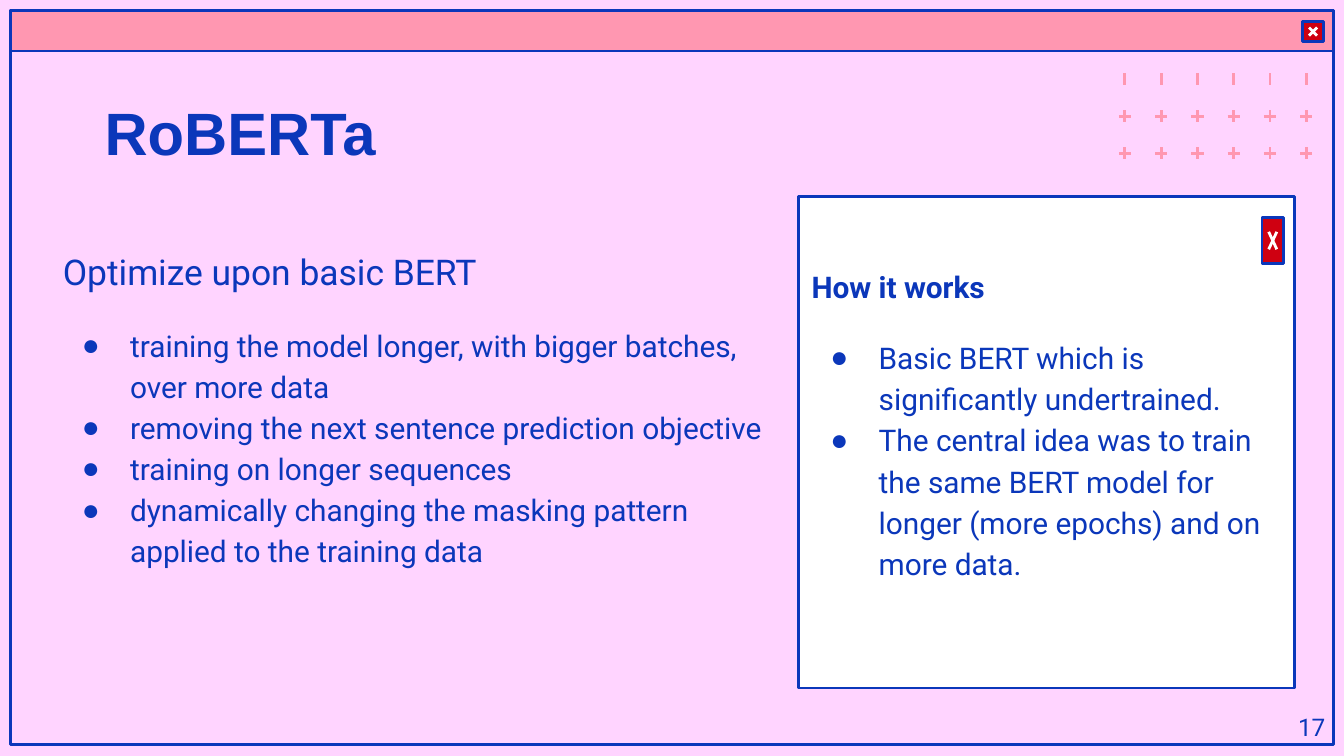
from lxml.etree import SubElement
from pptx import Presentation
from pptx.dml.color import RGBColor
from pptx.enum.shapes import MSO_CONNECTOR, MSO_SHAPE
from pptx.enum.text import MSO_ANCHOR, PP_ALIGN
from pptx.oxml.ns import qn
from pptx.util import Inches, Pt

COLORS = {
    "background": "FFD4FF",
    "blue": "0B37BA",
    "pink": "FF97B1",
    "red": "CF0011",
    "white": "FFFFFF",
}

OPTIMIZATIONS = [
    "training the model longer, with bigger batches, over more data",
    "removing the next sentence prediction objective",
    "training on longer sequences",
    "dynamically changing the masking pattern applied to the training data",
]
WORKINGS = [
    "Basic BERT which is significantly undertrained.",
    "The central idea was to train the same BERT model for longer (more epochs) and on more data.",
]


def color(name):
    return RGBColor.from_string(COLORS[name])


def add_box(slide, left, top, width, height, fill=None):
    shape = slide.shapes.add_shape(
        MSO_SHAPE.RECTANGLE, Inches(left), Inches(top), Inches(width), Inches(height)
    )
    shape.shadow.inherit = False
    if fill:
        shape.fill.solid()
        shape.fill.fore_color.rgb = color(fill)
    else:
        shape.fill.background()
    shape.line.color.rgb = color("blue")
    shape.line.width = Pt(1.5)


def add_line(slide, start, end, line_color):
    connector = slide.shapes.add_connector(
        MSO_CONNECTOR.STRAIGHT, *[Inches(value) for value in (*start, *end)]
    )
    connector.line.color.rgb = color(line_color)
    connector.line.width = Pt(1.5)
    SubElement(connector._element.spPr, qn("a:effectLst"))


def add_close_button(slide, left, top, width, height, cross_height):
    add_box(slide, left, top, width, height, "red")
    center_x, center_y = left + width / 2, top + height / 2
    for side in (-1, 1):
        offset_x, offset_y = side * 0.03, cross_height / 2
        add_line(
            slide,
            (center_x + offset_x, center_y - offset_y),
            (center_x - offset_x, center_y + offset_y),
            "white",
        )


def add_plus_grid(slide):
    arm = 0.045
    for row in range(3):
        for column in range(6):
            x, y = 8.37 + column * 0.27, 0.59 + row * 0.275
            add_line(slide, (x, y - arm), (x, y + arm), "pink")
            if row > 0:
                add_line(slide, (x - arm, y), (x + arm, y), "pink")


def add_text_box(slide, left, top, width, height, anchor=MSO_ANCHOR.TOP):
    box = slide.shapes.add_textbox(Inches(left), Inches(top), Inches(width), Inches(height))
    frame = box.text_frame
    frame.word_wrap = True
    frame.vertical_anchor = anchor
    frame.margin_left = frame.margin_right = Inches(0.1)
    frame.margin_top = frame.margin_bottom = Inches(0.1)
    return frame


def add_run(paragraph, text, size, font="Roboto", bold=False):
    run = paragraph.add_run()
    run.text = text
    run.font.name = font
    run.font.size = Pt(size)
    run.font.bold = bold
    run.font.color.rgb = color("blue")


def add_bullet(paragraph):
    properties = paragraph._p.get_or_add_pPr()
    properties.set("marL", str(Inches(0.5)))
    properties.set("indent", str(Inches(-0.36)))
    bullet_color = SubElement(properties, qn("a:buClr"))
    SubElement(bullet_color, qn("a:srgbClr"), val=COLORS["blue"])
    SubElement(properties, qn("a:buFont"), typeface="Arial")
    SubElement(properties, qn("a:buChar"), char="●")


def add_bulleted_text(frame, heading, heading_size, heading_bold, items):
    paragraph = frame.paragraphs[0]
    paragraph.line_spacing = 1.15
    paragraph.space_before = Pt(16)
    add_run(paragraph, heading, heading_size, bold=heading_bold)
    for index, item in enumerate(items):
        paragraph = frame.add_paragraph()
        paragraph.line_spacing = 1.15
        paragraph.space_before = Pt(0 if index else 16)
        add_bullet(paragraph)
        add_run(paragraph, item, 16)


def main():
    presentation = Presentation()
    presentation.slide_width = Inches(10)
    presentation.slide_height = Inches(10 * 9 / 16)
    slide = presentation.slides.add_slide(presentation.slide_layouts[6])
    slide.background.fill.solid()
    slide.background.fill.fore_color.rgb = color("background")

    add_box(slide, 0.08, 0.08, 9.84, 5.46)
    add_box(slide, 0.08, 0.08, 9.84, 0.3, "pink")
    add_close_button(slide, 9.69, 0.16, 0.16, 0.15, 0.06)
    add_plus_grid(slide)

    title = add_text_box(slide, 0.68, 0.61, 6.92, 0.65)
    add_run(title.paragraphs[0], "RoBERTa", 32, font="Arial", bold=True)

    add_box(slide, 5.94, 1.46, 3.69, 3.66, "white")
    add_close_button(slide, 9.39, 1.62, 0.16, 0.34, 0.13)
    workings = add_text_box(slide, 5.94, 1.86, 3.77, 3.16)
    add_bulleted_text(workings, "How it works", 16, True, WORKINGS)

    optimizations = add_text_box(slide, 0.37, 1.71, 5.44, 1.92)
    add_bulleted_text(optimizations, "Optimize upon basic BERT", 19, False, OPTIMIZATIONS)

    page_number = add_text_box(slide, 9.36, 5.19, 0.6, 0.43, MSO_ANCHOR.MIDDLE)
    page_number.paragraphs[0].alignment = PP_ALIGN.RIGHT
    add_run(page_number.paragraphs[0], "17", 13)

    presentation.save("out.pptx")


if __name__ == "__main__":
    main()
